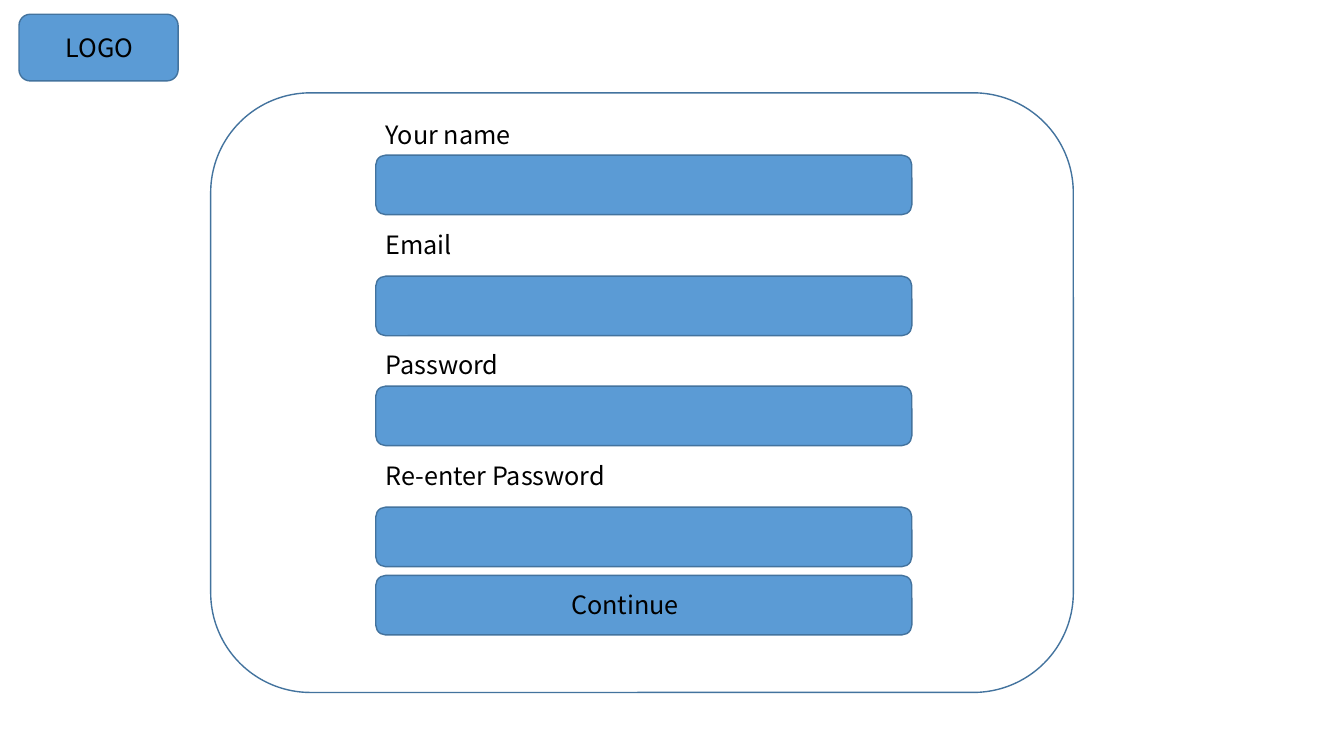
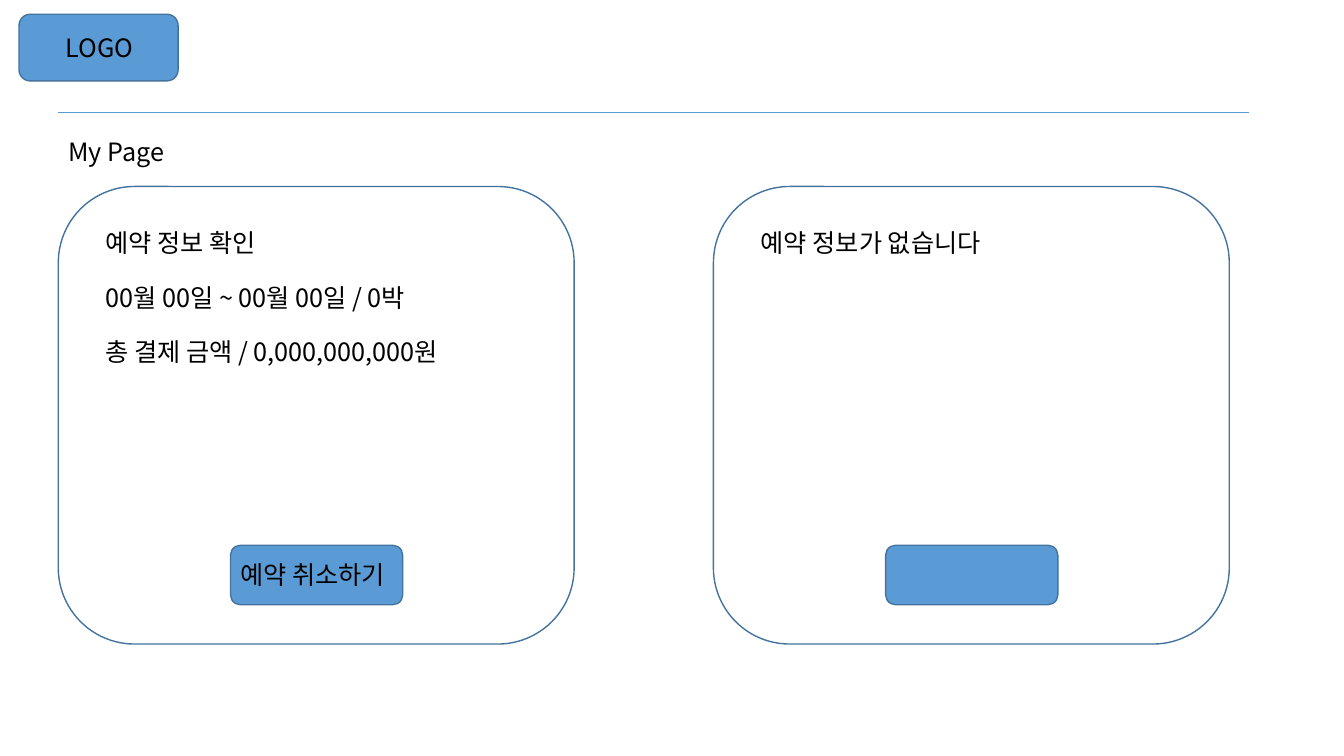
from lxml.etree import SubElement
from pptx import Presentation
from pptx.dml.color import RGBColor
from pptx.enum.shapes import MSO_CONNECTOR, MSO_SHAPE
from pptx.enum.text import MSO_AUTO_SIZE, PP_ALIGN
from pptx.oxml.ns import qn
from pptx.util import Cm, Pt

FONT = "Noto Sans CJK KR"
BLUE = RGBColor.from_string("5B9BD5")
OUTLINE = RGBColor.from_string("43739E")
BLACK = RGBColor.from_string("000000")
LABEL_WIDTH = 12.57


def add_box(page, left, top, width, height, filled=True):
    box = page.shapes.add_shape(
        MSO_SHAPE.ROUNDED_RECTANGLE, Cm(left), Cm(top), Cm(width), Cm(height))
    box.shadow.inherit = False
    if filled:
        box.fill.solid()
        box.fill.fore_color.rgb = BLUE
    else:
        box.fill.background()
    box.line.color.rgb = OUTLINE
    box.line.width = Pt(1)


def add_label(page, text, left, top, width=LABEL_WIDTH, align=PP_ALIGN.LEFT):
    label = page.shapes.add_textbox(Cm(left), Cm(top), Cm(width), Cm(1.02))
    frame = label.text_frame
    frame.word_wrap = True
    frame.auto_size = MSO_AUTO_SIZE.SHAPE_TO_FIT_TEXT
    frame.text = text
    para = frame.paragraphs[0]
    para.alignment = align
    span = para.runs[0]
    span.font.size = Pt(18)
    span.font.name = FONT
    span.font.color.rgb = BLACK
    SubElement(span.font._element, qn("a:ea")).set("typeface", FONT)


deck = Presentation()
deck.slide_width, deck.slide_height = Cm(33.87), Cm(19.05)
signup, my_page = [deck.slides.add_slide(deck.slide_layouts[6]) for _ in range(2)]

for page in (signup, my_page):
    add_box(page, 0.48, 0.36, 4.01, 1.68)
    add_label(page, "LOGO", 1.09, 0.69, 2.84, PP_ALIGN.CENTER)

FORM_LEFT, FIELD_WIDTH, BUTTON_HEIGHT = 9.47, 13.51, 1.5
add_box(signup, 5.31, 2.34, 21.74, 15.11, filled=False)
fields = [
    ("Your name", 2.87, 3.91),
    ("Email", 5.66, 6.96),
    ("Password", 8.69, 9.73),
    ("Re-enter Password", 11.48, 12.78),
]
for name, label_top, field_top in fields:
    add_label(signup, name, FORM_LEFT, label_top)
    add_box(signup, FORM_LEFT, field_top, FIELD_WIDTH, BUTTON_HEIGHT)
add_box(signup, FORM_LEFT, 14.5, FIELD_WIDTH, BUTTON_HEIGHT)
add_label(signup, "Continue", FORM_LEFT, 14.73, align=PP_ALIGN.CENTER)

MARGIN, CARD_STEP = 1.47, 16.51
divider = my_page.shapes.add_connector(
    MSO_CONNECTOR.STRAIGHT, Cm(MARGIN), Cm(2.84), Cm(31.47), Cm(2.84))
divider.line.color.rgb = BLUE
divider.line.width = Pt(0.5)
SubElement(divider._element.spPr, qn("a:effectLst"))
add_label(my_page, "My Page", MARGIN, 3.3)

cards = [
    (["예약 정보 확인", "00월 00일 ~ 00월 00일 / 0박", "총 결제 금액 / 0,000,000,000원"],
     "예약 취소하기"),
    (["예약 정보가 없습니다"], None),
]
for column, (lines, action) in enumerate(cards):
    left = MARGIN + column * CARD_STEP
    button_left = left + 4.34
    add_box(my_page, left, 4.7, 13, 11.53, filled=False)
    add_box(my_page, button_left, 13.74, 4.34, BUTTON_HEIGHT)
    for row, text in enumerate(lines):
        add_label(my_page, text, left + 0.94, 5.61 + row * 1.37)
    if action:
        add_label(my_page, action, button_left, 13.97)

deck.save("out.pptx")
